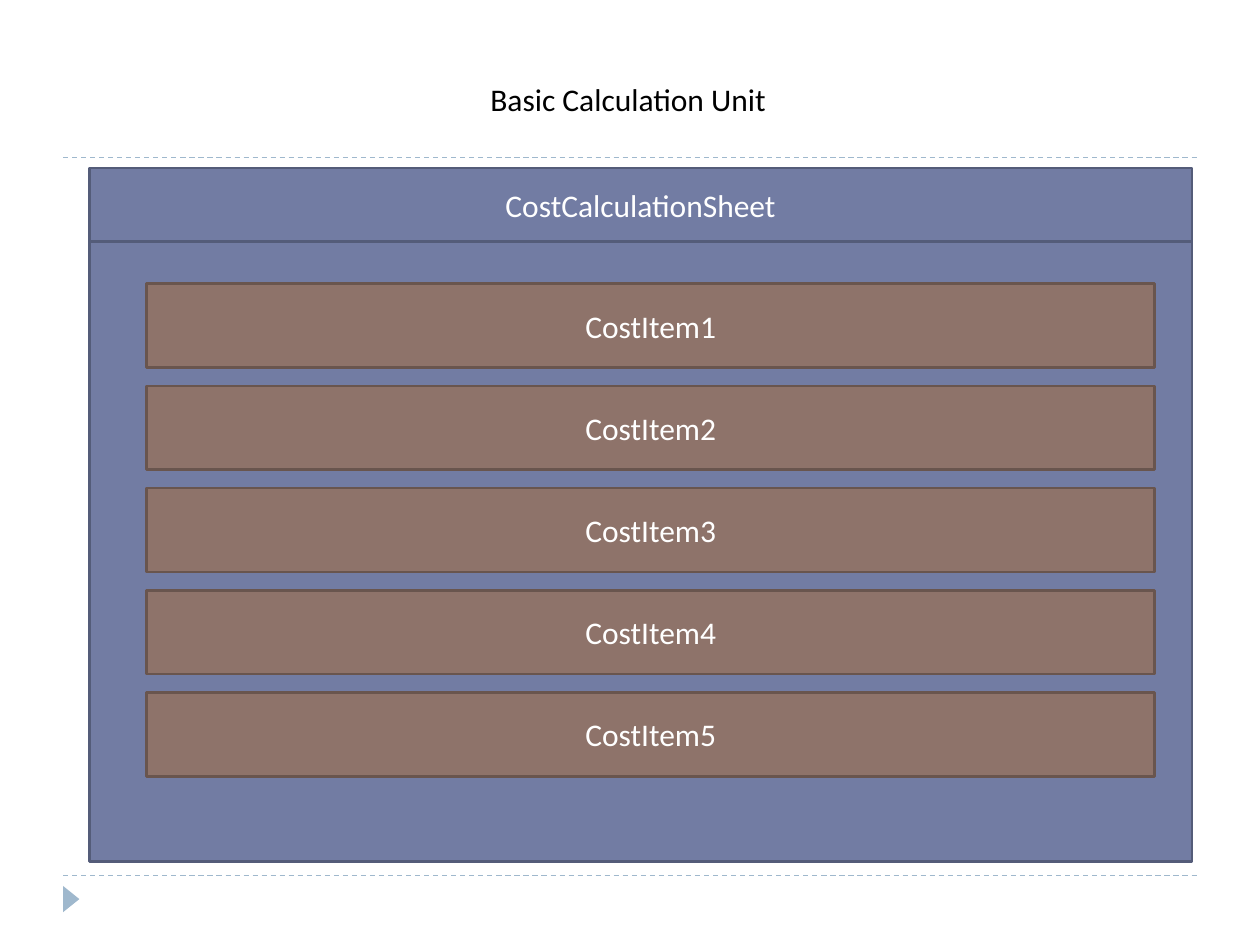
from dataclasses import dataclass

from lxml.etree import SubElement
from pptx import Presentation
from pptx.dml.color import RGBColor
from pptx.enum.dml import MSO_LINE
from pptx.enum.shapes import MSO_CONNECTOR, MSO_SHAPE
from pptx.enum.text import MSO_ANCHOR, PP_ALIGN
from pptx.oxml.ns import qn
from pptx.util import Cm, Pt


@dataclass(frozen=True)
class Theme:
    font: str = "Calibri"
    size: float = 18
    thin: float = 0.75
    edge: float = 1.5
    ink: str = "000000"
    light: str = "FFFFFF"
    rule: str = "9FB8CD"
    sheet: str = "727CA3"
    border: str = "545C79"
    item: str = "8E736A"
    rim: str = "69554E"


@dataclass(frozen=True)
class Box:
    left: float
    top: float
    width: float
    height: float
    fill: str
    line: str
    text: str = ""


THEME = Theme()


def color(code: str) -> RGBColor:
    return RGBColor.from_string(code)


def write(shape, text: str, *, ink: str = THEME.light, size: float = THEME.size,
          align=PP_ALIGN.CENTER, anchor=MSO_ANCHOR.MIDDLE, wrap: bool = True) -> None:
    frame = shape.text_frame
    frame.word_wrap = wrap
    frame.vertical_anchor = anchor
    para = frame.paragraphs[0]
    para.alignment = align
    run = para.add_run()
    run.text = text
    run.font.name = THEME.font
    run.font.size = Pt(size)
    run.font.color.rgb = color(ink)


def place(shape, left: float, top: float, width: float, height: float) -> None:
    shape.left, shape.top = Cm(left), Cm(top)
    shape.width, shape.height = Cm(width), Cm(height)


def draw(slide, box: Box) -> None:
    shape = slide.shapes.add_shape(
        MSO_SHAPE.RECTANGLE, Cm(box.left), Cm(box.top), Cm(box.width), Cm(box.height))
    shape.shadow.inherit = False
    shape.fill.solid()
    shape.fill.fore_color.rgb = color(box.fill)
    shape.line.color.rgb = color(box.line)
    shape.line.width = Pt(THEME.edge)
    if box.text:
        write(shape, box.text)


def rule(slide, top: float) -> None:
    line = slide.shapes.add_connector(
        MSO_CONNECTOR.STRAIGHT, Cm(1.27), Cm(top), Cm(24.13), Cm(top))
    line.line.color.rgb = color(THEME.rule)
    line.line.width = Pt(THEME.thin)
    line.line.dash_style = MSO_LINE.DASH
    SubElement(line._element.spPr, qn("a:effectLst"))


def mark(slide) -> None:
    shape = slide.shapes.add_shape(
        MSO_SHAPE.ISOSCELES_TRIANGLE, Cm(1.17), Cm(17.96), Cm(0.53), Cm(0.33))
    shape.rotation = 90
    shape.shadow.inherit = False
    shape.fill.solid()
    shape.fill.fore_color.rgb = color(THEME.rule)
    shape.line.fill.background()


def main() -> None:
    deck = Presentation()
    deck.slide_width, deck.slide_height = Cm(25.4), Cm(19.05)
    slide = deck.slides.add_slide(deck.slide_layouts[5])

    title = slide.shapes.title
    place(title, 9.63, 1.48, 6.12, 1.03)
    write(title, "Basic Calculation Unit", ink=THEME.ink, align=PP_ALIGN.LEFT,
          anchor=MSO_ANCHOR.TOP, wrap=False)

    for top in (17.65, 3.18):
        rule(slide, top)
    mark(slide)

    sheet = (THEME.sheet, THEME.border)
    draw(slide, Box(1.8, 4.87, 22.23, 12.5, *sheet))
    draw(slide, Box(1.8, 3.39, 22.23, 1.48, *sheet, "CostCalculationSheet"))

    first, pitch = 5.72, 2.06
    for row in range(5):
        draw(slide, Box(2.96, first + row * pitch, 20.32, 1.69,
                        THEME.item, THEME.rim, f"CostItem{row + 1}"))

    deck.save("out.pptx")


main()
